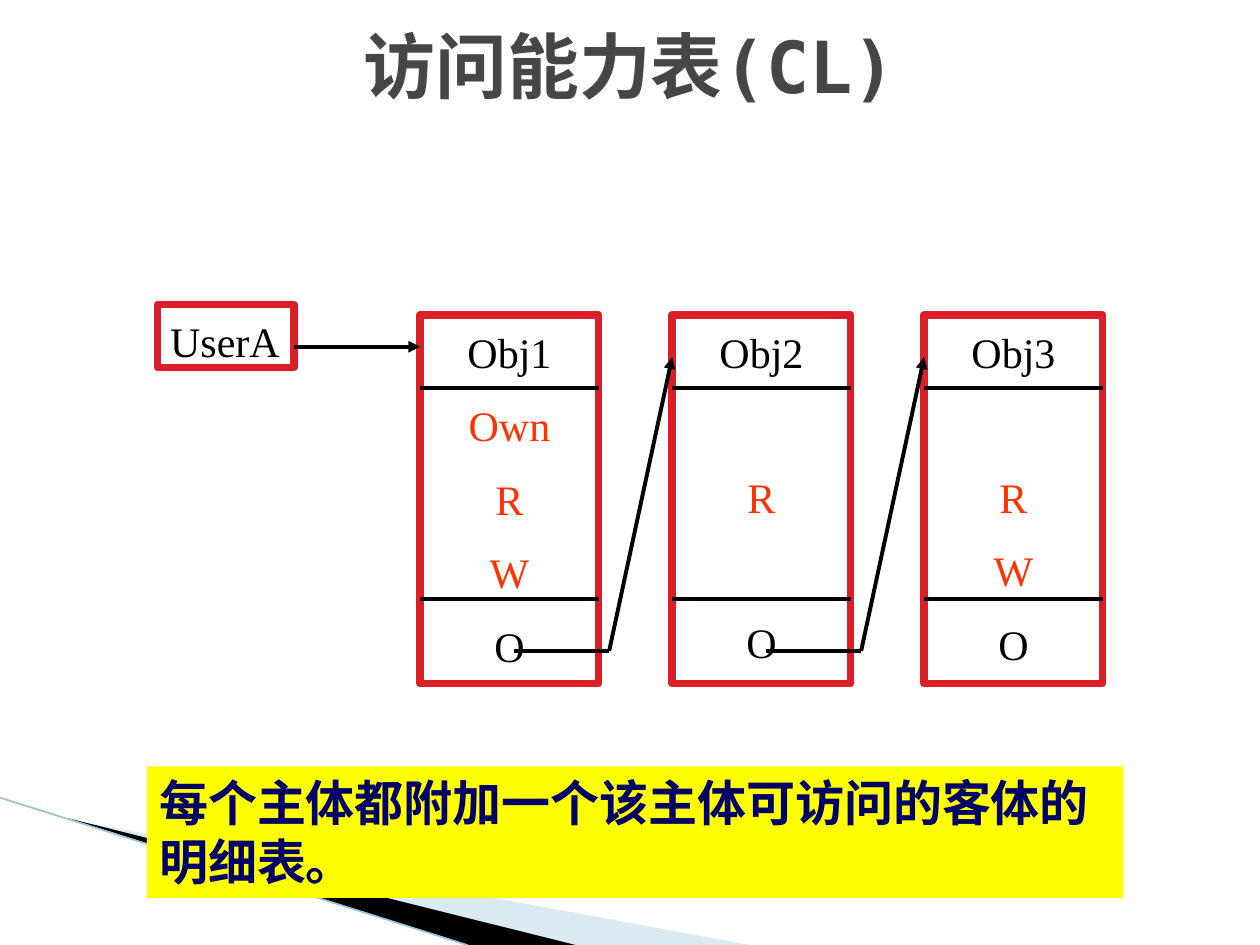
from lxml.etree import SubElement
from pptx import Presentation
from pptx.dml.color import RGBColor
from pptx.enum.shapes import MSO_CONNECTOR, MSO_SHAPE
from pptx.enum.text import MSO_ANCHOR, PP_ALIGN
from pptx.oxml.ns import qn
from pptx.util import Cm, Pt

WHITE = RGBColor(0xFF, 0xFF, 0xFF)
BLACK = RGBColor(0x00, 0x00, 0x00)
GREY = RGBColor(0x46, 0x46, 0x46)
RED = RGBColor(0xDA, 0x1F, 0x28)
ORANGE = RGBColor(0xFF, 0x33, 0x00)
YELLOW = RGBColor(0xFF, 0xFF, 0x00)
NAVY = RGBColor(0x00, 0x00, 0x66)
LIGHT_BLUE = RGBColor(0xA0, 0xCB, 0xDC)
EDGE_BLUE = RGBColor(0x97, 0xC5, 0xD8)

LINE_HEIGHT = 27.6
ROW_PITCH = 40.8


def write(paragraph, text, size=24, font="Times New Roman", color=BLACK,
          bold=False, align=PP_ALIGN.CENTER, before=0):
    run = paragraph.add_run()
    run.text = text
    run.font.size = Pt(size)
    run.font.name = font
    run.font.bold = bold
    run.font.color.rgb = color
    paragraph.alignment = align
    paragraph.space_before = Pt(before)


def add_line(x1, y1, x2, y2, color=BLACK, width=2.25, arrow=False):
    """Draw a straight line between two points given in centimetres."""
    line = slide.shapes.add_connector(
        MSO_CONNECTOR.STRAIGHT, Cm(x1), Cm(y1), Cm(x2), Cm(y2))
    line.line.color.rgb = color
    line.line.width = Pt(width)
    if arrow:
        SubElement(line.line._get_or_add_ln(), qn("a:tailEnd"), type="triangle")
    SubElement(line._element.spPr, qn("a:effectLst"))


presentation = Presentation()
presentation.slide_width = Cm(25.4)
presentation.slide_height = Cm(19.05)
slide = presentation.slides.add_slide(presentation.slide_layouts[5])

# Corner decoration
wedges = [
    (LIGHT_BLUE, 40, [(1.4, 16.53), (15.11, 19.05), (11.58, 19.05)]),
    (BLACK, 100, [(1.35, 16.49), (11.6, 19.05), (9.45, 19.05)]),
]
for color, opacity, points in wedges:
    corners = [(Cm(x), Cm(y)) for x, y in points]
    builder = slide.shapes.build_freeform(*corners[0], scale=1.0)
    builder.add_line_segments(corners[1:], close=True)
    wedge = builder.convert_to_shape()
    wedge.shadow.inherit = False
    wedge.fill.solid()
    wedge.fill.fore_color.rgb = color
    wedge.line.fill.background()
    if opacity < 100:
        color_element = wedge._element.spPr.find(qn("a:solidFill"))[0]
        SubElement(color_element, qn("a:alpha"), val=str(opacity * 1000))
add_line(0, 16.08, 9.42, 19.05, color=EDGE_BLUE, width=0.95)

# Title
title = slide.shapes.title
title.left, title.top, title.width, title.height = Cm(0.5), Cm(0.13), Cm(24.4), Cm(2.36)
title.text_frame.vertical_anchor = MSO_ANCHOR.MIDDLE
write(title.text_frame.paragraphs[0], "访问能力表(CL)", size=41,
      font="DejaVu Sans Mono", color=GREY, bold=True)

# Capability cards: each right stands in its own row
CARD_LEFT, CARD_TOP, CARD_WIDTH, CARD_HEIGHT, CARD_PITCH = 8.47, 6.35, 3.6, 7.43, 5.08
RIGHT_ROWS = {"Own": 1, "R": 2, "W": 3}
card_rights = [["Own", "R", "W"], ["R"], ["R", "W"]]
card_lefts = [CARD_LEFT + CARD_PITCH * i for i in range(len(card_rights))]

boxes = []
for number, (left, rights) in enumerate(zip(card_lefts, card_rights), start=1):
    rows = [(0, f"Obj{number}", {})]
    rows += [(RIGHT_ROWS[right], right, {"color": ORANGE}) for right in rights]
    rows.append((4, "O", {}))
    boxes.append((left, CARD_TOP, CARD_WIDTH, CARD_HEIGHT, WHITE, RED, 0.23, rows))
boxes.append((3.18, 6.14, 2.75, 1.27, WHITE, RED, 0.23,
              [(0, "UserA", {"align": PP_ALIGN.LEFT})]))
boxes.append((2.96, 15.45, 19.69, 2.65, YELLOW, None, 0.13,
              [(0, "每个主体都附加一个该主体可访问的客体的明细表。",
                {"size": 28, "color": NAVY, "bold": True, "align": PP_ALIGN.LEFT})]))

for left, top, width, height, fill, outline, margin_top, rows in boxes:
    box = slide.shapes.add_shape(
        MSO_SHAPE.RECTANGLE, Cm(left), Cm(top), Cm(width), Cm(height))
    box.shadow.inherit = False
    box.fill.solid()
    box.fill.fore_color.rgb = fill
    if outline is None:
        box.line.fill.background()
    else:
        box.line.color.rgb = outline
        box.line.width = Pt(4.33)
    frame = box.text_frame
    frame.word_wrap = True
    frame.vertical_anchor = MSO_ANCHOR.TOP
    frame.margin_top = Cm(margin_top)
    previous_row = 0
    for row, text, text_format in rows:
        paragraph = frame.add_paragraph() if row else frame.paragraphs[0]
        before = ROW_PITCH * (row - previous_row) - LINE_HEIGHT if row else 0
        write(paragraph, text, before=before, **text_format)
        previous_row = row

# Card dividers
for left in card_lefts:
    for y in (7.83, 12.07):
        add_line(left, y, left + CARD_WIDTH, y)

# Chain from the user through the cards
add_line(5.93, 6.99, CARD_LEFT, 6.99, arrow=True)
for left, next_left in zip(card_lefts, card_lefts[1:]):
    bend = next_left - 1.27
    add_line(left + 1.9, 13.12, bend, 13.12)
    add_line(bend, 13.12, next_left, 7.2, arrow=True)

presentation.save("out.pptx")
